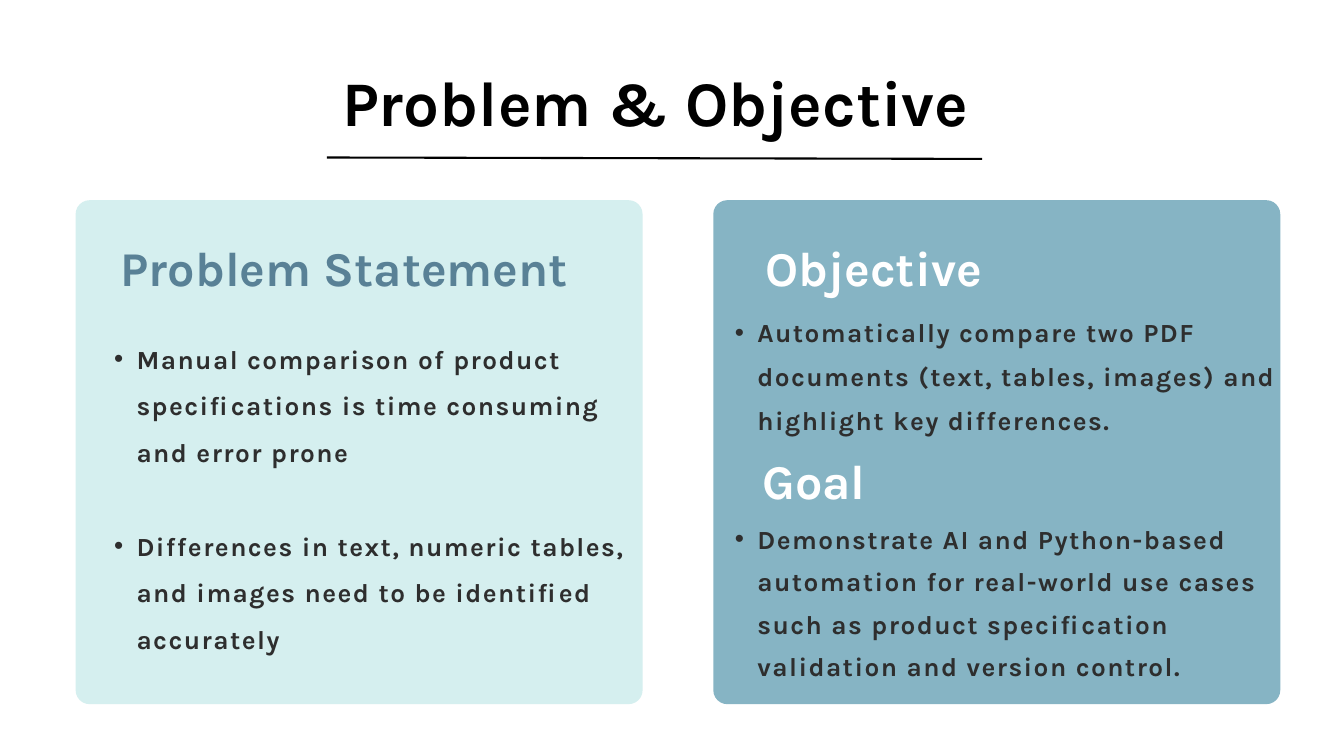
from dataclasses import dataclass

from lxml import etree
from pptx import Presentation
from pptx.dml.color import RGBColor
from pptx.enum.shapes import MSO_CONNECTOR, MSO_SHAPE
from pptx.enum.text import MSO_AUTO_SIZE, PP_ALIGN
from pptx.oxml.ns import qn
from pptx.util import Pt

STRAIGHT = MSO_CONNECTOR.STRAIGHT
ROUNDED = MSO_SHAPE.ROUNDED_RECTANGLE
GROW = MSO_AUTO_SIZE.SHAPE_TO_FIT_TEXT
CENTER = PP_ALIGN.CENTER

EMU_PER_PX = 9525


def px(length):
    return length * EMU_PER_PX


@dataclass(frozen=True)
class Theme:
    font: str = "Karla"
    ink: str = "000000"
    body: str = "2E2E2E"
    white: str = "FFFFFF"
    slate: str = "598196"
    mint: str = "D5EFEF"
    blue: str = "86B4C4"
    title_size: int = 68
    heading_size: int = 52
    body_size: int = 28
    tracking: int = 160  # hundredths of a point


class SlideBuilder:
    def __init__(self, slide, theme):
        self.slide = slide
        self.theme = theme

    def card(self, left, top, width, height, radius, color):
        shape = self.slide.shapes.add_shape(
            ROUNDED, px(left), px(top), px(width), px(height))
        shape.adjustments[0] = radius / min(width, height)
        shape.shadow.inherit = False
        shape.fill.solid()
        shape.fill.fore_color.rgb = RGBColor.from_string(color)
        shape.line.fill.background()

    def rule(self, x1, y1, x2, y2, weight):
        line = self.slide.shapes.add_connector(STRAIGHT, px(x1), px(y1), px(x2), px(y2))
        line.line.color.rgb = RGBColor.from_string(self.theme.ink)
        line.line.width = Pt(weight)
        etree.SubElement(line._element.spPr, qn("a:effectLst"))

    def frame(self, left, top, width, height):
        box = self.slide.shapes.add_textbox(px(left), px(top), px(width), px(height))
        frame = box.text_frame
        frame.margin_left = frame.margin_right = 0
        frame.margin_top = frame.margin_bottom = 0
        frame.word_wrap = True
        frame.auto_size = GROW
        return frame

    def span(self, para, text, size, color):
        span = para.add_run()
        span.text = text
        span.font.name = self.theme.font
        span.font.size = Pt(size)
        span.font.bold = True
        span.font.color.rgb = RGBColor.from_string(color)
        return span

    def heading(self, text, left, top, width, height, size, color, leading):
        para = self.frame(left, top, width, height).paragraphs[0]
        para.alignment = CENTER
        para.line_spacing = Pt(leading)
        self.span(para, text, size, color)

    def bullets(self, items, left, top, width, height, leading):
        frame = self.frame(left, top, width, height)
        for index, text in enumerate(items):
            para = frame.add_paragraph() if index else frame.paragraphs[0]
            properties = para._p.get_or_add_pPr()
            properties.set("marL", str(px(63)))
            properties.set("indent", str(px(-32)))
            etree.SubElement(properties, qn("a:buFont"), typeface="Arial")
            etree.SubElement(properties, qn("a:buChar"), char="•")
            para.level = 1
            para.line_spacing = Pt(leading)
            if index:
                para.space_before = Pt(leading)
            span = self.span(para, text, self.theme.body_size, self.theme.body)
            span.font._element.set("spc", str(self.theme.tracking))


def main():
    theme = Theme()
    deck = Presentation()
    deck.slide_width, deck.slide_height = px(1920), px(1080)
    page = SlideBuilder(deck.slides.add_slide(deck.slide_layouts[6]), theme)

    # Cards and title rule
    card_top, card_width, card_height = 286, 810, 720
    left_card, right_card = 108, 1019
    for left, color in ((left_card, theme.mint), (right_card, theme.blue)):
        page.card(left, card_top, card_width, card_height, 20, color)
    page.rule(467, 225, 1403, 227, 2.25)

    # Title
    page.heading("Problem & Objective", 449, 108, 975, 95,
                 theme.title_size, theme.ink, 68)

    # Card headings
    for text, left, top, width, color in (
        ("Problem Statement", 162, 326, 660, theme.slate),
        ("Objective ", 1085, 326, 344, theme.white),
        ("Goal", 1085, 630, 156, theme.white),
    ):
        page.heading(text, left, top, width, 93, theme.heading_size, color, 72.8)

    # Problem statement
    page.bullets([
        "Manual comparison of product specifications is time consuming and error prone",
        "Differences in text, numeric tables, and images need to be identified accurately",
    ], 132, 468, 762, 457, 50.1)

    # Objective and goal
    page.bullets([
        "Automatically compare two PDF documents (text, tables, images) "
        "and highlight key differences.",
    ], right_card, 435, card_width, 181, 46.8)
    page.bullets([
        "Demonstrate AI and Python-based automation for real-world use cases "
        "such as product specification validation and version control.",
    ], right_card, 731, card_width, 236, 45.6)

    deck.save("out.pptx")


if __name__ == "__main__":
    main()
